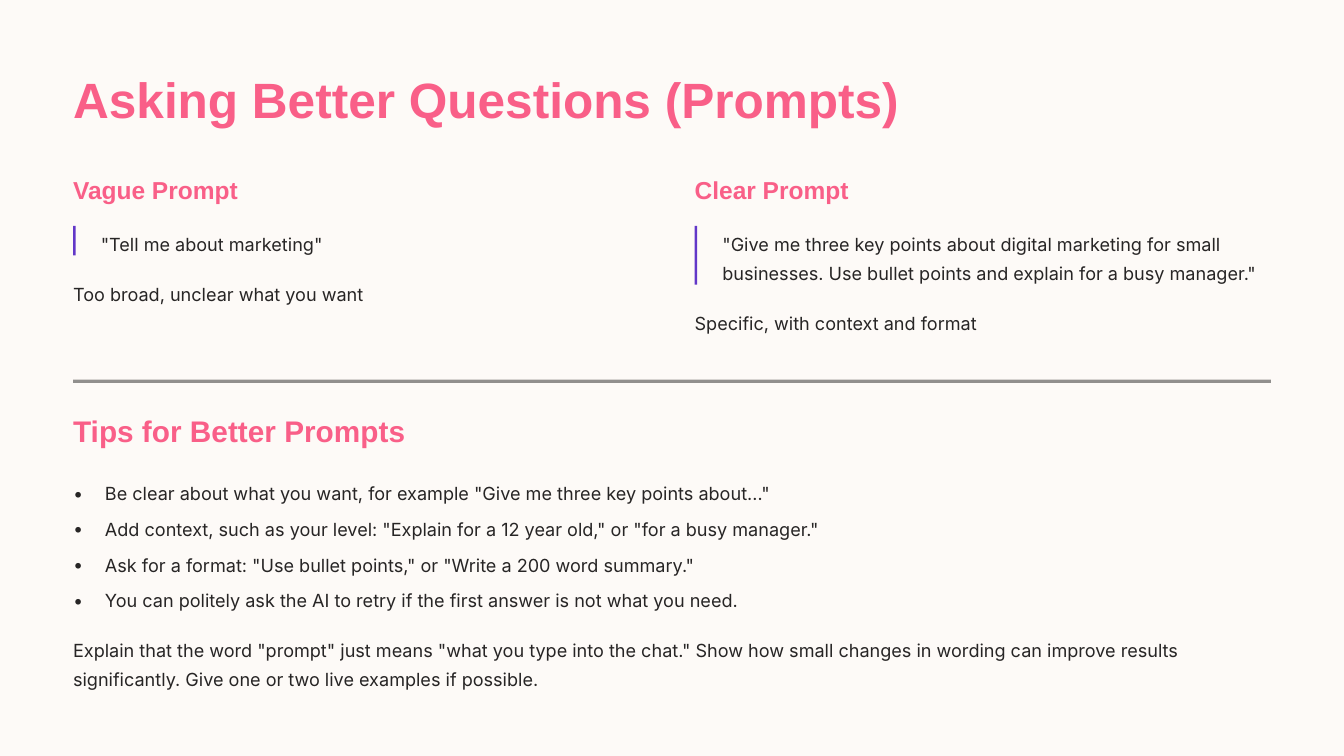
from lxml import etree
from pptx import Presentation
from pptx.dml.color import RGBColor
from pptx.enum.shapes import MSO_SHAPE
from pptx.enum.text import MSO_ANCHOR, MSO_AUTO_SIZE, PP_ALIGN
from pptx.oxml.ns import qn
from pptx.util import Inches, Pt

RECT = MSO_SHAPE.RECTANGLE
TOP = MSO_ANCHOR.TOP
LEFT = PP_ALIGN.LEFT
NO_AUTOFIT = MSO_AUTO_SIZE.NONE

CREAM, PINK, PURPLE, INK = "FDFAF7", "F95F88", "6237C8", "272525"
MARGIN, CONTENT_WIDTH = 0.87, 14.26
LINE_HEIGHT = 0.35
HEADING = ("Arial", 21, 26.5, PINK, True)
BODY = ("Inter", 15.5, 25, INK, False)


def write(box, place, lines, style):
    """Place a text box or placeholder and fill it, one paragraph per line."""
    font_name, size, line_spacing, colour, bold = style
    box.left, box.top, box.width, box.height = [Inches(v) for v in place]
    frame = box.text_frame
    frame.auto_size = NO_AUTOFIT
    frame.word_wrap = True
    frame.vertical_anchor = TOP
    frame.margin_left = frame.margin_right = frame.margin_top = frame.margin_bottom = 0
    for i, line in enumerate(lines):
        paragraph = frame.paragraphs[0] if i == 0 else frame.add_paragraph()
        paragraph.alignment = LEFT
        paragraph.line_spacing = Pt(line_spacing)
        paragraph.space_before = Pt(0)
        run = paragraph.add_run()
        run.text = line
        run.font.name, run.font.size, run.font.bold = font_name, Pt(size), bold
        run.font.color.rgb = RGBColor.from_string(colour)
    return frame


def add_bar(place, colour):
    bar = slide.shapes.add_shape(RECT, *[Inches(v) for v in place])
    bar.shadow.inherit = False
    bar.fill.solid()
    bar.fill.fore_color.rgb = RGBColor.from_string(colour)
    bar.line.fill.background()
    return bar


prs = Presentation()
prs.slide_width, prs.slide_height = Inches(16), Inches(9)
slide = prs.slides.add_slide(prs.slide_layouts[5])
slide.background.fill.solid()
slide.background.fill.fore_color.rgb = RGBColor.from_string(CREAM)
new_text = slide.shapes.add_textbox

# Title
write(slide.shapes.title, (MARGIN, 0.79, CONTENT_WIDTH, 0.75),
      ["Asking Better Questions (Prompts)"], ("Arial", 42.5, 53.5, PINK, True))

# Two prompts side by side: heading, quote with a bar, verdict
prompts = [
    (MARGIN, "Vague Prompt", '"Tell me about marketing"', 1,
     "Too broad, unclear what you want"),
    (8.27, "Clear Prompt",
     '"Give me three key points about digital marketing for small businesses. '
     'Use bullet points and explain for a busy manager."', 2,
     "Specific, with context and format"),
]
for left, heading, quote, quote_lines, verdict in prompts:
    quote_height = quote_lines * LINE_HEIGHT
    write(new_text(0, 0, 0, 0), (left, 2.07, 2.98, 0.37), [heading], HEADING)
    write(new_text(0, 0, 0, 0), (left + 0.33, 2.69, 6.54, quote_height), [quote], BODY)
    add_bar((left, 2.69, 0.03, quote_height), PURPLE)
    write(new_text(0, 0, 0, 0), (left, 2.93 + quote_height, 6.87, LINE_HEIGHT), [verdict], BODY)

# Half-transparent divider
divider = add_bar((MARGIN, 4.52, CONTENT_WIDTH, 0.04), INK)
divider_colour = divider.fill._xPr.find(qn("a:solidFill")).find(qn("a:srgbClr"))
etree.SubElement(divider_colour, qn("a:alpha")).set("val", "50000")

# Tips
write(new_text(0, 0, 0, 0), (MARGIN, 4.89, 4.5, 0.45),
      ["Tips for Better Prompts"], ("Arial", 25.5, 32, PINK, True))
tips = write(new_text(0, 0, 0, 0), (MARGIN, 5.66, CONTENT_WIDTH, 1.62), [
    'Be clear about what you want, for example "Give me three key points about…"',
    'Add context, such as your level: "Explain for a 12 year old," or "for a busy manager."',
    'Ask for a format: "Use bullet points," or "Write a 200 word summary."',
    "You can politely ask the AI to retry if the first answer is not what you need.",
], BODY)
for tip in tips.paragraphs:
    tip.space_after = Pt(5.5)
    properties = tip._p.get_or_add_pPr()
    properties.set("marL", str(Inches(0.38)))
    properties.set("indent", str(-Inches(0.38)))
    etree.SubElement(properties, qn("a:buFont")).set("typeface", "Inter")
    etree.SubElement(properties, qn("a:buChar")).set("char", "•")

# Closing advice
write(new_text(0, 0, 0, 0), (MARGIN, 7.52, CONTENT_WIDTH, 2 * LINE_HEIGHT), [
    'Explain that the word "prompt" just means "what you type into the chat." '
    "Show how small changes in wording can improve results significantly. "
    "Give one or two live examples if possible."], BODY)

prs.save("out.pptx")
